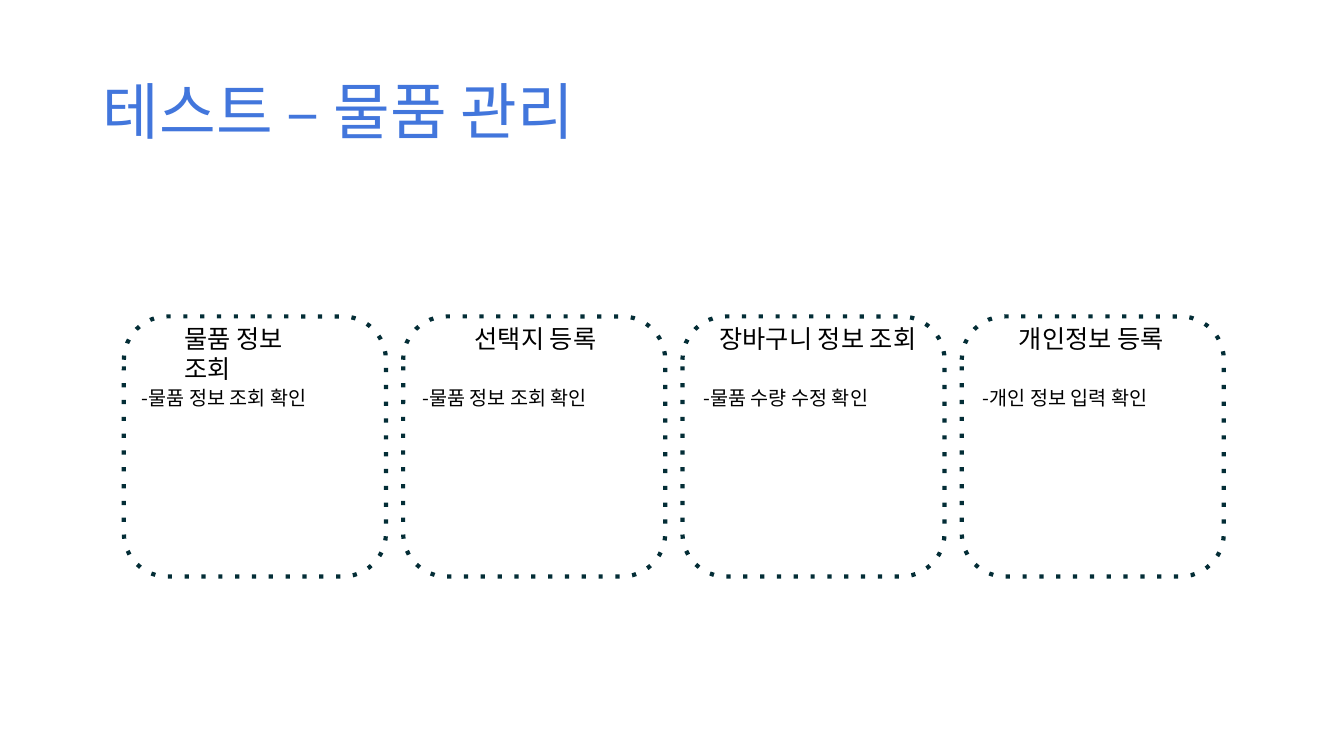
from pptx import Presentation
from pptx.dml import color
from pptx.enum import dml, shapes, text
from pptx.oxml import ns
from pptx.util import Pt

FONT = "Noto Sans CJK KR"
STEPS = [
    ("물품 정보 조회", 36, 119, "-물품 정보 조회 확인", 5.8, 178.6),
    ("선택지 등록", 44, 104, "-물품 정보 조회 확인", 6.5, 178.6),
    ("장바구니 정보 조회", 19.4, 162, "-물품 수량 수정 확인", 8, 193.7),
    ("개인정보 등록", 33.8, 122, "-개인 정보 입력 확인", 8, 193.7),
]


def rgb(value):
    """Turn a hex string into a colour."""
    return color.RGBColor.from_string(value)


def write(frame, wording, size, hue):
    """Fill a text frame with one left-aligned paragraph."""
    frame.text = wording
    frame.word_wrap = True
    paragraph = frame.paragraphs[0]
    paragraph.alignment = text.PP_ALIGN.LEFT
    font = paragraph.font
    font.size = Pt(size)
    font.color.rgb = rgb(hue)
    font.name = FONT
    east_asian = font._element.makeelement(ns.qn("a:ea"), {"typeface": FONT})
    font._element.find(ns.qn("a:latin")).addnext(east_asian)
    return paragraph


def add_title(slide, left, top, width, height):
    """Place and format the slide title."""
    title = slide.shapes.title
    title.left, title.top, title.width, title.height = map(Pt, (left, top, width, height))
    title.text_frame.vertical_anchor = text.MSO_ANCHOR.MIDDLE
    title.text_frame.auto_size = text.MSO_AUTO_SIZE.NONE
    write(title.text_frame, "테스트 – 물품 관리", 44, "4276DC").line_spacing = 0.9


def add_label(slide, wording, size, left, top, width, height):
    """Add a black line of text."""
    label = slide.shapes.add_textbox(*map(Pt, (left, top, width, height)))
    write(label.text_frame, wording, size, "000000")


def add_step(slide, step, left, top, width, height):
    """Draw one dotted card with its heading and check item."""
    heading, heading_inset, heading_width, check, check_inset, check_width = step
    card = slide.shapes.add_shape(
        shapes.MSO_SHAPE.ROUNDED_RECTANGLE, *map(Pt, (left, top, width, height)))
    card.shadow.inherit = False
    card.fill.background()
    card.line.color.rgb = rgb("032D36")
    card.line.width = Pt(3)
    card.line.dash_style = dml.MSO_LINE.ROUND_DOT
    card.line._ln.find(ns.qn("a:prstDash")).set("val", "dot")
    add_label(slide, heading, 18, left + heading_inset, top + 1.5, heading_width, 29)
    add_label(slide, check, 14, left + check_inset, top + 46, check_width, 24.5)


def main():
    """Build and save the slide."""
    deck = Presentation()
    deck.slide_width, deck.slide_height = Pt(960), Pt(540)
    slide = deck.slides.add_slide(deck.slide_layouts[5])
    add_title(slide, 66.2, 29.5, 828, 104.4)
    for index, step in enumerate(STEPS):
        add_step(slide, step, 88.5 + index * 199.5, 226, 187.2, 185.8)
    deck.save("out.pptx")


if __name__ == "__main__":
    main()
